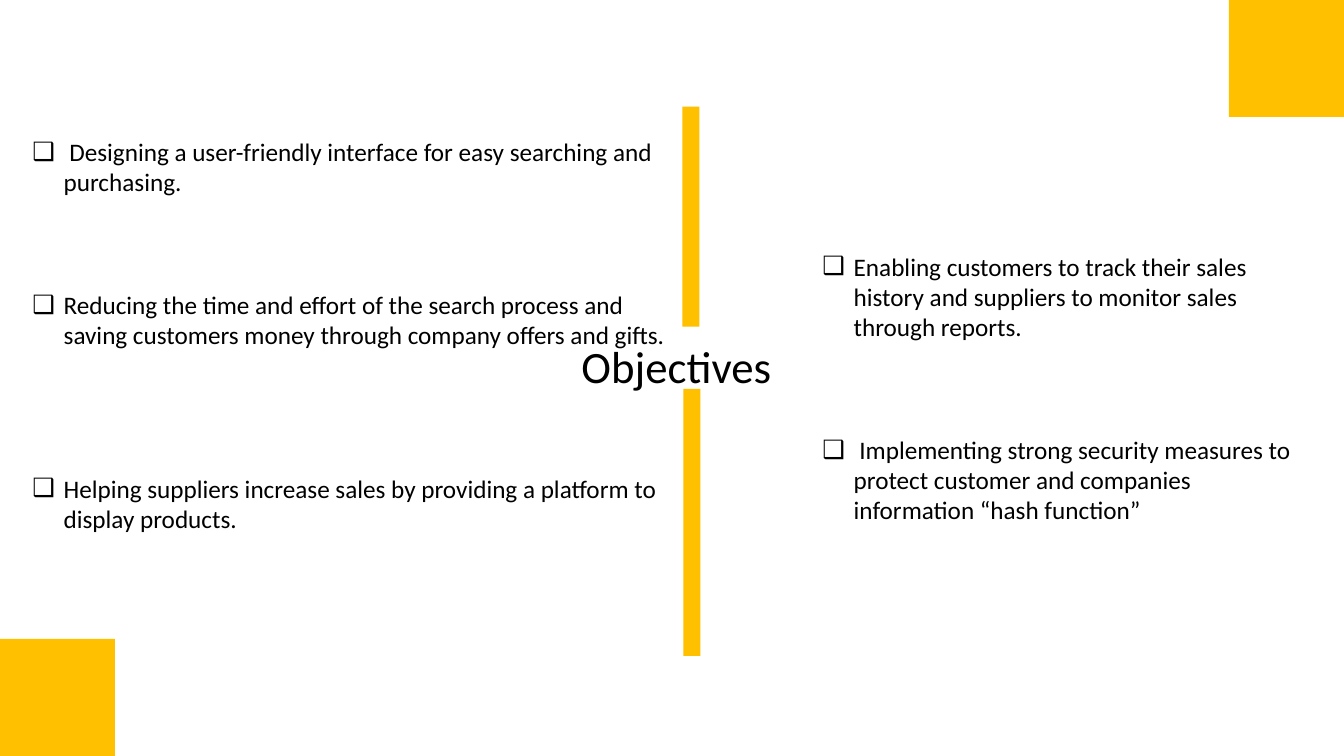
from lxml import etree
from pptx import Presentation
from pptx.dml.color import RGBColor
from pptx.enum.shapes import MSO_SHAPE
from pptx.enum.text import MSO_ANCHOR, MSO_AUTO_SIZE, PP_ALIGN
from pptx.oxml.ns import qn
from pptx.util import Cm, Pt

RECTANGLE = MSO_SHAPE.RECTANGLE
TOP = MSO_ANCHOR.TOP
NO_AUTOFIT = MSO_AUTO_SIZE.NONE
LEFT = PP_ALIGN.LEFT

SLIDE_WIDTH, SLIDE_HEIGHT = 33.87, 19.05
SQUARE_WIDTH, SQUARE_HEIGHT = 2.9, 2.95
BAR_WIDTH = 0.43
INDENT = 0.79
FONT = "Calibri"
GOLD, BLACK = "FFC000", "000000"

# Each objective with the space before it in points
LEFT_OBJECTIVES = [
    (" Designing a user-friendly interface for easy searching and purchasing.", 0),
    ("Reducing the time and effort of the search process and saving customers "
     "money through company offers and gifts.", 66),
    ("Helping suppliers increase sales by providing a platform to display "
     "products.", 88),
]
RIGHT_OBJECTIVES = [
    ("Enabling customers to track their sales history and suppliers to monitor "
     "sales through reports.", 0),
    (" Implementing strong security measures to protect customer and companies "
     "information “hash function”", 66),
]


def colour(value):
    return RGBColor.from_string(value)


def place(shape, left, top, width, height):
    shape.left, shape.top = Cm(left), Cm(top)
    shape.width, shape.height = Cm(width), Cm(height)


def add_block(slide, left, top, width, height):
    block = slide.shapes.add_shape(
        RECTANGLE, Cm(left), Cm(top), Cm(width), Cm(height))
    block.shadow.inherit = False
    block.fill.solid()
    block.fill.fore_color.rgb = colour(GOLD)
    block.line.fill.background()


def prepare_frame(box):
    frame = box.text_frame
    frame.word_wrap = True
    frame.auto_size = NO_AUTOFIT
    frame.vertical_anchor = TOP
    return frame


def add_span(para, text, size):
    para.alignment = LEFT
    span = para.add_run()
    span.text = text
    span.font.name = FONT
    span.font.size = Pt(size)
    span.font.color.rgb = colour(BLACK)


def set_bullet(para):
    properties = para._p.get_or_add_pPr()
    properties.set("marL", str(Cm(INDENT)))
    properties.set("indent", str(-Cm(INDENT)))
    etree.SubElement(properties, qn("a:buChar")).set("char", "❑")


def fill_list(box, objectives):
    frame = prepare_frame(box)
    for number, (text, gap) in enumerate(objectives):
        para = frame.add_paragraph() if number else frame.paragraphs[0]
        para.space_before = Pt(gap)
        set_bullet(para)
        add_span(para, text, 18)


def main():
    deck = Presentation()
    deck.slide_width, deck.slide_height = Cm(SLIDE_WIDTH), Cm(SLIDE_HEIGHT)
    slide = deck.slides.add_slide(deck.slide_layouts.get_by_name("Two Content"))
    title, left_list, right_list = slide.placeholders

    # Corner squares
    add_block(slide, SLIDE_WIDTH - SQUARE_WIDTH, 0, SQUARE_WIDTH, SQUARE_HEIGHT)
    add_block(slide, 0, SLIDE_HEIGHT - SQUARE_HEIGHT, SQUARE_WIDTH, SQUARE_HEIGHT)

    # Divider above and below the title
    add_block(slide, 17.2, 2.69, BAR_WIDTH, 5.54)
    add_block(slide, 17.22, 9.8, BAR_WIDTH, 6.73)

    # Title
    place(title, 14.4, 8.41, 8.46, 1.63)
    add_span(prepare_frame(title).paragraphs[0], "Objectives", 32)

    # Objectives
    place(left_list, 0.56, 3.31, 16.94, 10.5)
    fill_list(left_list, LEFT_OBJECTIVES)
    place(right_list, 20.47, 6.2, 12.32, 7.19)
    fill_list(right_list, RIGHT_OBJECTIVES)

    deck.save("out.pptx")


if __name__ == "__main__":
    main()
